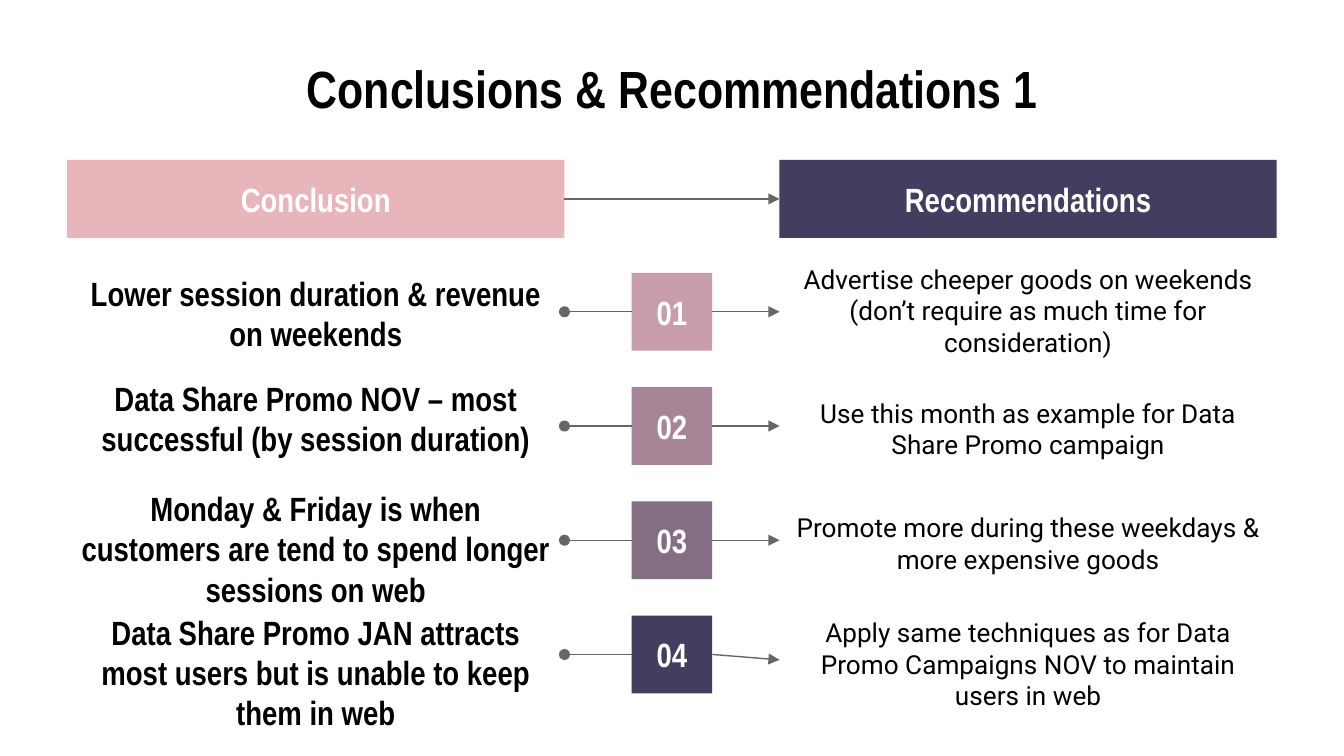
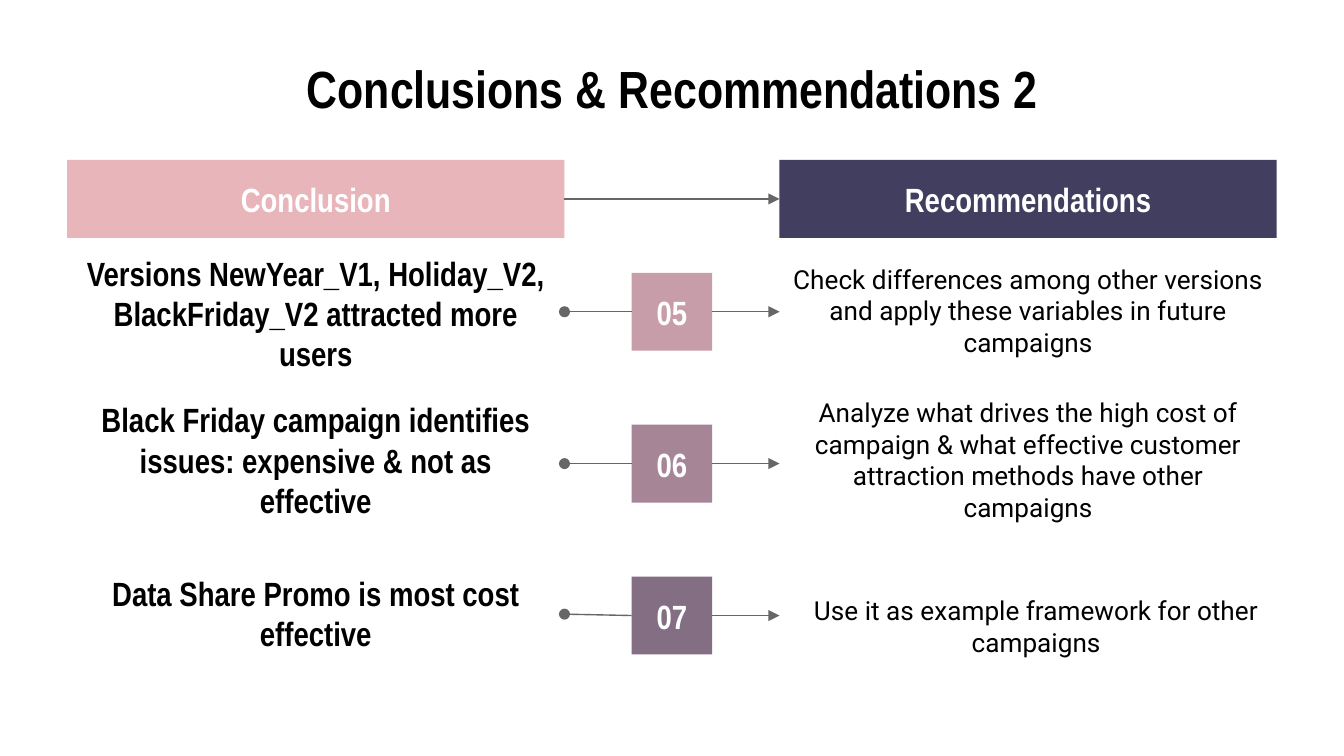
from lxml import etree
from pptx import Presentation, util as u
from pptx.dml.color import RGBColor
from pptx.enum import shapes, text
from pptx.oxml import ns

COLORS = {
    "ink": "000000", "paper": "FFFFFF", "line": "666666",
    "rose": "E8B5BB", "navy": "423E5F",
    "badge1": "C79DA9", "badge2": "A68596", "badge3": "846E84",
}
BADGE_FILLS = ["badge1", "badge2", "badge3", "navy"]

TITLE = {"size": u.Pt(28), "name": "Arial Narrow", "bold": True}
HEADING = {"size": u.Pt(18), "name": "Arial Narrow", "bold": True}
BODY = {"size": u.Pt(14), "name": "Roboto", "bold": False}
FRAME = {
    "word_wrap": True,
    "auto_size": text.MSO_AUTO_SIZE.NONE,
    "vertical_anchor": text.MSO_ANCHOR.MIDDLE,
    **{f"margin_{side}": u.Inches(0.1) for side in ("left", "top", "right", "bottom")},
}

# Grid in inches: two wide columns with the badges centred between them
WIDTH = 10
MARGIN = 0.5
COLUMN = 3.7
RIGHT = WIDTH - MARGIN - COLUMN
BADGE = 0.6
BAND = 0.58
TEXT_HEIGHT = 0.3
HEADER_MIDDLE = 1.48
FIRST_ROW = 2.32

# Row: conclusion, its vertical shift, recommendation, its vertical shift,
# and optionally the recommendation's indent or the drop of a connector's outer end
SLIDES = [
    {"title": "Conclusions & Recommendations 1", "first": 1, "pitch": 0.85, "rows": [
        ("Lower session duration & revenue on weekends", 0.01,
         "Advertise cheeper goods on weekends (don’t require as much time for consideration)",
         -0.01, {}),
        ("Data Share Promo NOV – most successful (by session duration)", -0.06,
         "Use this month as example for Data Share Promo campaign", 0.02, {}),
        ("Monday & Friday is when customers are tend to spend longer sessions on web", 0.06,
         "Promote more during these weekdays & more expensive goods", 0.02, {}),
        ("Data Share Promo JAN attracts most users but is unable to keep them in web", 0.13,
         "Apply same techniques as for Data Promo Campaigns NOV to maintain users in web",
         0.07, {"right_drop": 0.04}),
    ]},
    {"title": "Conclusions & Recommendations 2", "first": 5, "pitch": 1.13, "rows": [
        ("Versions NewYear_V1, Holiday_V2, BlackFriday_V2 attracted more users", 0.01,
         "Check differences among other versions and apply these variables in future campaigns",
         -0.01, {}),
        ("Black Friday campaign identifies issues: expensive & not as effective", -0.03,
         "Analyze what drives the high cost of campaign & what effective customer "
         "attraction methods have other campaigns", -0.03, {}),
        ("Data Share Promo is most cost effective", -0.02,
         "Use it as example framework for other campaigns", 0.08,
         {"indent": 0.06, "left_drop": -0.01}),
    ]},
]


def rgb(color):
    return RGBColor.from_string(COLORS[color])


def apply(target, values):
    for name, value in values.items():
        setattr(target, name, value)


def write(shape, words, style, color="ink"):
    frame = shape.text_frame
    apply(frame, FRAME)
    paragraph = frame.paragraphs[0]
    paragraph.alignment = text.PP_ALIGN.CENTER
    run = paragraph.add_run()
    run.text = words
    apply(run.font, style)
    run.font.color.rgb = rgb(color)


def around(left, middle, width, height):
    """Return a box in EMU, centred vertically on middle."""
    return [u.Inches(n) for n in (left, middle - height / 2, width, height)]


def add_title(slide, words):
    title = slide.shapes.title
    title.left, title.top, title.width, title.height = around(
        MARGIN, 0.65, WIDTH - 2 * MARGIN, 0.41)
    write(title, words, TITLE)


def add_block(slide, words, left, middle, width, color):
    block = slide.shapes.add_shape(
        shapes.MSO_SHAPE.RECTANGLE, *around(left, middle, width, BAND))
    block.shadow.inherit = False
    block.fill.solid()
    block.fill.fore_color.rgb = rgb(color)
    block.line.fill.background()
    write(block, words, HEADING, "paper")
    return block


def add_words(slide, words, left, middle, style):
    write(slide.shapes.add_textbox(*around(left, middle, COLUMN, TEXT_HEIGHT)), words, style)


def add_link(slide, start, end, marker, begin=None, finish=None):
    """Draw a line with a (tag, type) end marker, joined to (shape, side) pairs."""
    link = slide.shapes.add_connector(
        shapes.MSO_CONNECTOR.STRAIGHT, *(u.Inches(n) for n in (*start, *end)))
    if begin:
        link.begin_connect(*begin)
    if finish:
        link.end_connect(*finish)
    link.line.color.rgb = rgb("line")
    link.line.width = u.Pt(0.75)
    tag, kind = marker
    etree.SubElement(link.line._get_or_add_ln(), ns.qn(tag), type=kind)
    etree.SubElement(link._element.spPr, ns.qn("a:effectLst"))


def add_header(slide):
    conclusion = add_block(slide, "Conclusion", MARGIN, HEADER_MIDDLE, COLUMN, "rose")
    recommendations = add_block(
        slide, "Recommendations", RIGHT, HEADER_MIDDLE, COLUMN, "navy")
    add_link(slide, (MARGIN + COLUMN, HEADER_MIDDLE), (RIGHT, HEADER_MIDDLE),
             ("a:tailEnd", "triangle"), (conclusion, 3), (recommendations, 1))


def add_row(slide, number, middle, color, row):
    conclusion, conclusion_shift, advice, advice_shift, tweaks = row
    badge_left = (WIDTH - BADGE) / 2
    badge = add_block(slide, f"{number:02}", badge_left, middle, BADGE, color)
    add_words(slide, conclusion, MARGIN, middle + conclusion_shift, HEADING)
    add_words(slide, advice, RIGHT + tweaks.get("indent", 0), middle + advice_shift, BODY)
    add_link(slide, (MARGIN + COLUMN, middle + tweaks.get("left_drop", 0)),
             (badge_left, middle), ("a:headEnd", "oval"), finish=(badge, 1))
    add_link(slide, (badge_left + BADGE, middle),
             (RIGHT, middle + tweaks.get("right_drop", 0)),
             ("a:tailEnd", "triangle"), begin=(badge, 3))


def main():
    deck = Presentation()
    deck.slide_width = u.Inches(WIDTH)
    deck.slide_height = deck.slide_width * 9 // 16
    title_only = deck.slide_layouts[5]
    for content in SLIDES:
        slide = deck.slides.add_slide(title_only)
        add_title(slide, content["title"])
        add_header(slide)
        for index, (color, row) in enumerate(zip(BADGE_FILLS, content["rows"])):
            add_row(slide, content["first"] + index,
                    FIRST_ROW + index * content["pitch"], color, row)
    deck.save("out.pptx")


if __name__ == "__main__":
    main()
